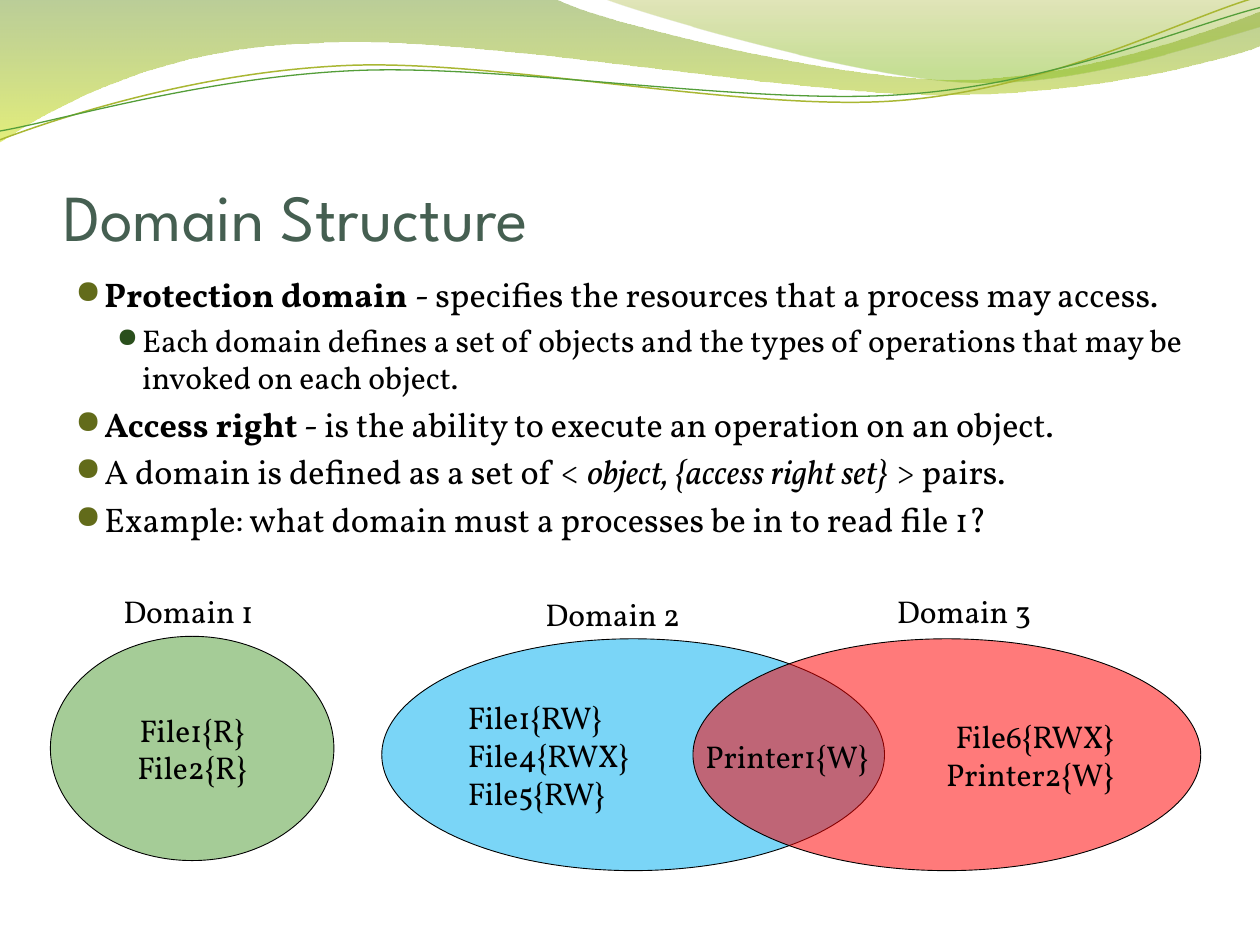
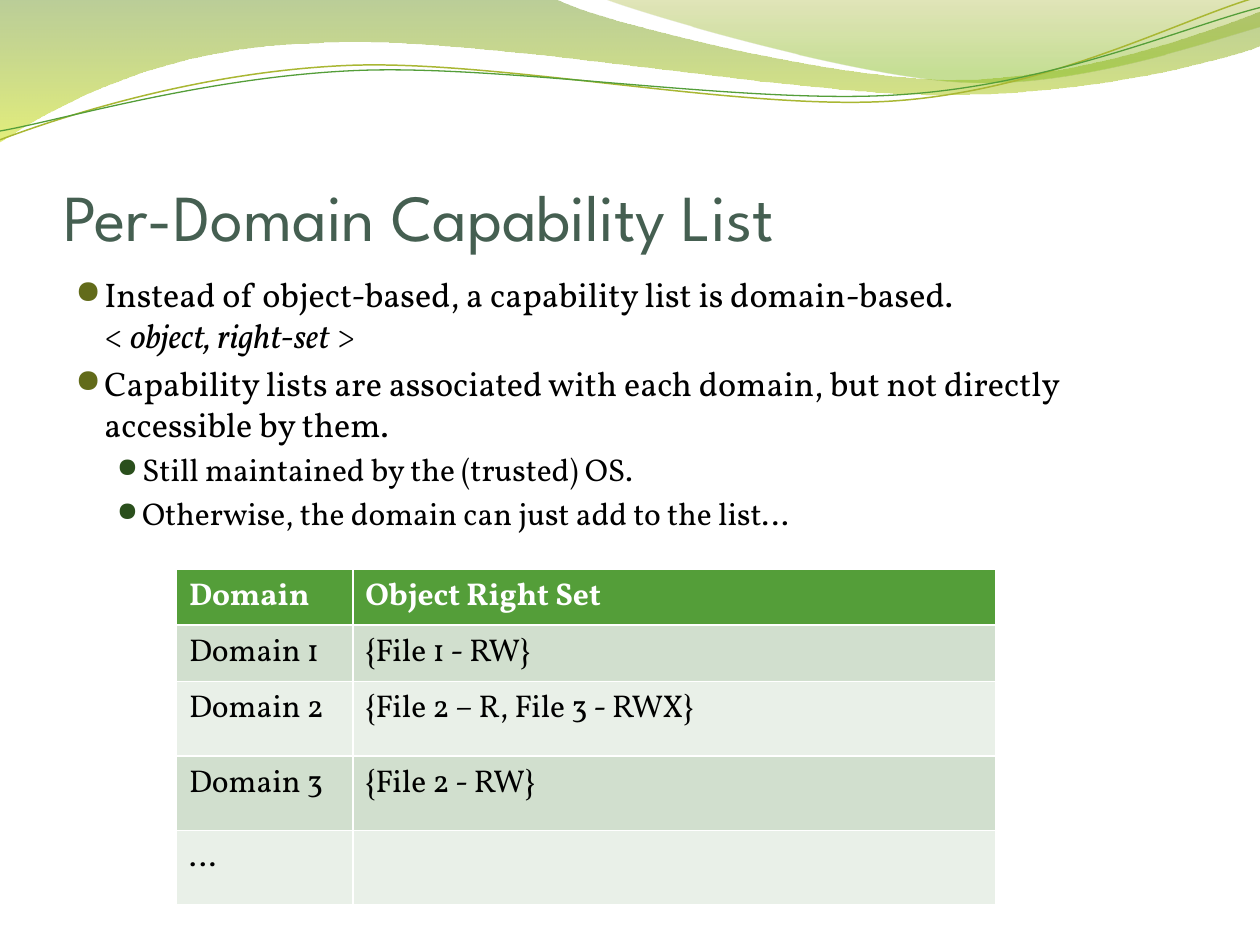
from dataclasses import dataclass

from lxml.etree import SubElement
from pptx import Presentation
from pptx.dml.color import RGBColor
from pptx.enum.shapes import MSO_SHAPE
from pptx.enum.text import MSO_ANCHOR, MSO_AUTO_SIZE, PP_ALIGN
from pptx.oxml.ns import qn
from pptx.util import Emu, Pt

PX = 9144  # 100 px to the inch


@dataclass(frozen=True)
class Theme:
    title_font: str = "League Spartan"
    body_font: str = "Vollkorn"
    bullet_font: str = "OpenSymbol"
    title_size: float = 37.5
    lead_size: float = 19.5
    text_size: float = 18
    title: str = "455F51"
    text: str = "000000"
    white: str = "FFFFFF"
    green: str = "549E39"
    blue: str = "00B0F0"
    red: str = "FF0000"
    olive_line: str = "A9B733"
    bands: tuple = ("D1DFCE", "E9F0E8")
    domain_opacity: int = 52


THEME = Theme()

# level: (left margin px, hanging px, bullet colour, bullet size %, text size)
LEVELS = (
    (23, 23, "626B1A", 95, THEME.lead_size),
    (53, 20, "2A4F1C", 85, THEME.text_size),
)

# Outlines: a start point, then lines (x, y) and cubic curves (six numbers).
LEFT_WAVE = [
    (0, 0), (440, -1), (475, 17, 663, 63, 758, 63), (853, 63, 958, 26, 1000, 9),
    (1001, 36), (983, 44, 869, 76, 746, 75), (622, 75, 381, 28, 257, 34),
    (129, 36, 46, 83, -1, 113), (0, 0),
]
RIGHT_WAVE = [
    (479, -1), (509, 11, 682, 62, 768, 65), (855, 69, 961, 32, 1000, 21),
    (1000, 0), (479, -1),
]
OLIVE_STRAND = [
    (0, 111), (48, 93, 157, 57, 276, 52), (395, 47, 592, 89, 712, 80),
    (833, 71, 938, 15, 997, -2),
]
GREEN_STRAND = [
    (0, 104), (47, 96, 163, 61, 283, 56), (402, 51, 597, 84, 717, 75),
    (836, 67, 941, 21, 1000, 6),
]


def px(*lengths):
    return [Emu(n * PX) for n in lengths]


def rgb(color):
    return RGBColor.from_string(color)


def style_font(font, size, color=THEME.text, name=THEME.body_font):
    font.name = name
    font.size = Pt(size)
    font.color.rgb = rgb(color)


def set_line(sp, color, width):
    sp.line.color.rgb = rgb(color)
    sp.line.width = Pt(width)


def set_opacity(sp, *percents):
    """Apply one opacity to each fill colour, in order."""
    for color, percent in zip(sp.element.spPr.iter(qn("a:srgbClr")), percents):
        SubElement(color, qn("a:alpha")).set("val", str(percent * 1000))


def add_outline(shapes, outline, closed):
    """Lay all points as lines, then join each curve's three into one cubic."""
    start, *segments = outline
    points = [px(*seg[i:i + 2]) for seg in segments for i in range(0, len(seg), 2)]
    builder = shapes.build_freeform(*px(*start))
    builder.add_line_segments(points, close=closed)
    sp = builder.convert_to_shape()
    sp.shadow.inherit = False
    lines = iter(list(sp.element.spPr.iter(qn("a:lnTo"))))
    for segment in segments:
        line = next(lines)
        if len(segment) == 6:
            line.tag = qn("a:cubicBezTo")
            for extra in (next(lines), next(lines)):
                line.append(extra[0])
                extra.getparent().remove(extra)
    return sp


def add_wave(shapes, outline, stops):
    """Add a vertical gradient band; stops are (position, colour, opacity)."""
    sp = add_outline(shapes, outline, closed=True)
    sp.line.fill.background()
    sp.fill.gradient()
    sp.fill.gradient_angle = 270
    for stop, (position, color, _) in zip(sp.fill.gradient_stops, stops):
        stop.position = position
        stop.color.rgb = rgb(color)
    set_opacity(sp, *(opacity for _, _, opacity in stops))
    return sp


def add_strand(shapes, outline, color, width):
    sp = add_outline(shapes, outline, closed=False)
    sp.fill.background()
    set_line(sp, color, width)
    return sp


def decorate_layout(layout, slide):
    """Draw the waves on a slide and move them to its layout, behind the rest."""
    shapes = slide.shapes
    waves = [
        add_wave(shapes, LEFT_WAVE, [(0, "69921C", 45), (1, "CCE10F", 55)]),
        add_wave(shapes, RIGHT_WAVE, [(0, "9BAA1A", 30), (0.8, "81BA16", 45)]),
        add_strand(shapes, OLIVE_STRAND, THEME.olive_line, 0.85),
        add_strand(shapes, GREEN_STRAND, THEME.green, 0.75),
    ]
    for index, sp in enumerate(waves, start=2):
        layout.shapes.element.insert(index, sp.element)


def set_title(slide, text):
    sp = slide.shapes.title
    sp.left, sp.top, sp.width, sp.height = px(50, 77, 900, 125)
    tf = sp.text_frame
    tf.text = text
    tf.auto_size = MSO_AUTO_SIZE.NONE
    tf.vertical_anchor = MSO_ANCHOR.BOTTOM
    tf.margin_left = tf.margin_right = tf.margin_bottom = 0
    tf.margin_top = px(5)[0]
    p = tf.paragraphs[0]
    p.alignment = PP_ALIGN.LEFT
    style_font(p.runs[0].font, THEME.title_size, THEME.title, THEME.title_font)


def set_bullet(p, level):
    margin, hanging, color, bullet_size, text_size = LEVELS[level]
    p.level = level
    p.space_before = Pt(text_size * 0.2)
    pPr = p._p.get_or_add_pPr()
    pPr.set("marL", str(margin * PX))
    pPr.set("indent", str(-hanging * PX))
    SubElement(SubElement(pPr, qn("a:buClr")), qn("a:srgbClr")).set("val", color)
    SubElement(pPr, qn("a:buSzPct")).set("val", str(bullet_size * 1000))
    SubElement(pPr, qn("a:buFont")).set("typeface", THEME.bullet_font)
    SubElement(pPr, qn("a:buChar")).set("char", "●")


def add_bullets(slide, items):
    """Each item is a level, then spans: plain text or (text, "bold" or "italic")."""
    tf = slide.shapes.add_textbox(*px(50, 212, 900, 480)).text_frame
    tf.word_wrap = True
    for index, (level, *spans) in enumerate(items):
        p = tf.add_paragraph() if index else tf.paragraphs[0]
        set_bullet(p, level)
        for span in spans:
            if span == "\n":
                p.add_line_break()
                continue
            text, emphasis = (span, None) if isinstance(span, str) else span
            r = p.add_run()
            r.text = text
            style_font(r.font, LEVELS[level][-1])
            if emphasis:
                setattr(r.font, emphasis, True)


def set_lines(tf, text, align=PP_ALIGN.LEFT):
    tf.text = text
    for p in tf.paragraphs:
        p.alignment = align
        for r in p.runs:
            style_font(r.font, THEME.text_size)


def add_domain(slide, box, color, text, align):
    sp = slide.shapes.add_shape(MSO_SHAPE.OVAL, *px(*box))
    sp.shadow.inherit = False
    sp.fill.solid()
    sp.fill.fore_color.rgb = rgb(color)
    set_opacity(sp, THEME.domain_opacity)
    set_line(sp, THEME.text, 0.5)
    sp.text_frame.vertical_anchor = MSO_ANCHOR.MIDDLE
    set_lines(sp.text_frame, text, align)


def add_label(slide, left, top, width, text):
    tf = slide.shapes.add_textbox(*px(left, top, width, 40)).text_frame
    tf.word_wrap = False
    tf.auto_size = MSO_AUTO_SIZE.SHAPE_TO_FIT_TEXT
    set_lines(tf, text)


def add_capability_table(slide, rows, widths, heights):
    """The table's own style draws the white rules between cells."""
    box = px(140, 452, sum(widths), sum(heights))
    table = slide.shapes.add_table(len(rows), len(widths), *box).table
    for column, width in zip(table.columns, px(*widths)):
        column.width = width
    for row, height in zip(table.rows, px(*heights)):
        row.height = height
    for i, row in enumerate(rows):
        header = i == 0
        for j, text in enumerate(row):
            cell = table.cell(i, j)
            cell.text = text
            cell.fill.solid()
            cell.fill.fore_color.rgb = rgb(THEME.green if header else THEME.bands[(i - 1) % 2])
            for r in cell.text_frame.paragraphs[0].runs:
                style_font(r.font, THEME.text_size, THEME.white if header else THEME.text)
                r.font.bold = header


def fill_domain_structure(slide):
    set_title(slide, "Domain Structure")
    add_bullets(slide, [
        (0, ("Protection domain ", "bold"),
         "- specifies the resources that a process may access."),
        (1, "Each domain defines a set of objects and the types of operations "
            "that may be invoked on each object."),
        (0, ("Access right", "bold"),
         " - is the ability to execute an operation on an object."),
        (0, "A domain is defined as a set of < ",
         ("object, {access right set}", "italic"), " > pairs."),
        (0, "Example: what domain must a processes be in to read file 1?"),
    ])
    add_domain(slide, (40, 505, 225, 178), THEME.green,
               "File1{R}\nFile2{R}", PP_ALIGN.CENTER)
    add_domain(slide, (303, 507, 399, 184), THEME.blue,
               "File1{RW}\nFile4{RWX}\nFile5{RW}", PP_ALIGN.LEFT)
    add_domain(slide, (550, 507, 403, 184), THEME.red,
               "File6{RWX}\nPrinter2{W}", PP_ALIGN.RIGHT)
    for number, (left, top) in enumerate([(88, 465), (423, 467), (702, 465)], start=1):
        add_label(slide, left, top, 129, f"Domain {number}")
    add_label(slide, 550, 580, 153, "Printer1{W}")


def fill_capability_list(slide):
    set_title(slide, "Per-Domain Capability List")
    add_bullets(slide, [
        (0, "Instead of object-based, a capability list is domain-based.", "\n",
         "< ", ("object, right-set", "italic"), " >"),
        (0, "Capability lists are associated with each domain, but not directly "
            "accessible by them."),
        (1, "Still maintained by the (trusted) OS."),
        (1, "Otherwise, the domain can just add to the list…"),
    ])
    add_capability_table(slide, [
        ("Domain", "Object Right Set"),
        ("Domain 1", "{File 1 - RW}"),
        ("Domain 2", "{File 2 – R, File 3 - RWX}"),
        ("Domain 3", "{File 2 - RW}"),
        ("…", ""),
    ], widths=(140, 510), heights=(44, 45, 59, 59, 59))


def main():
    prs = Presentation()
    prs.slide_width, prs.slide_height = px(1000, 750)
    layout = prs.slide_layouts[5]
    structure, capabilities = [prs.slides.add_slide(layout) for _ in range(2)]
    decorate_layout(layout, structure)
    fill_domain_structure(structure)
    fill_capability_list(capabilities)
    prs.save("out.pptx")


if __name__ == "__main__":
    main()
